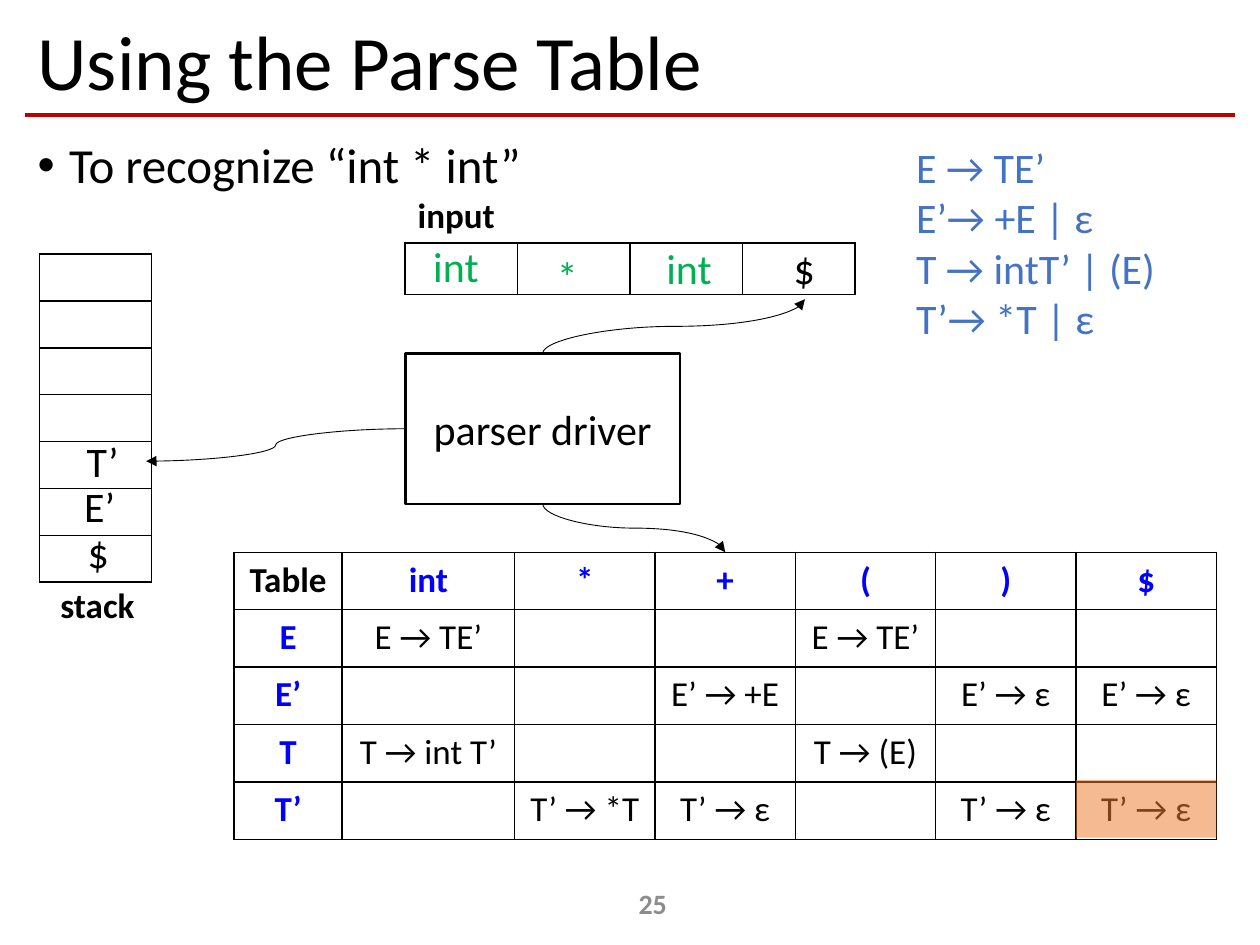
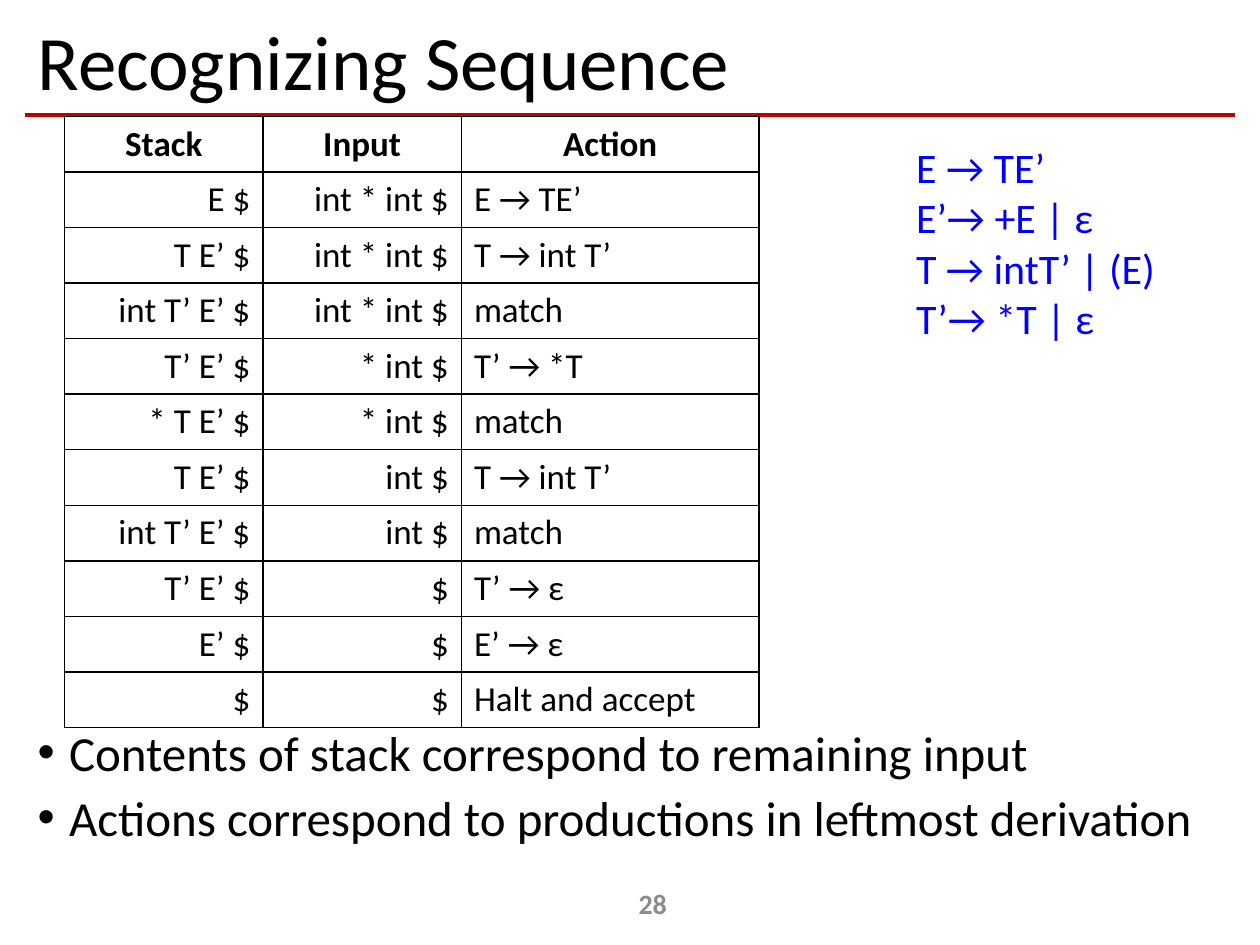
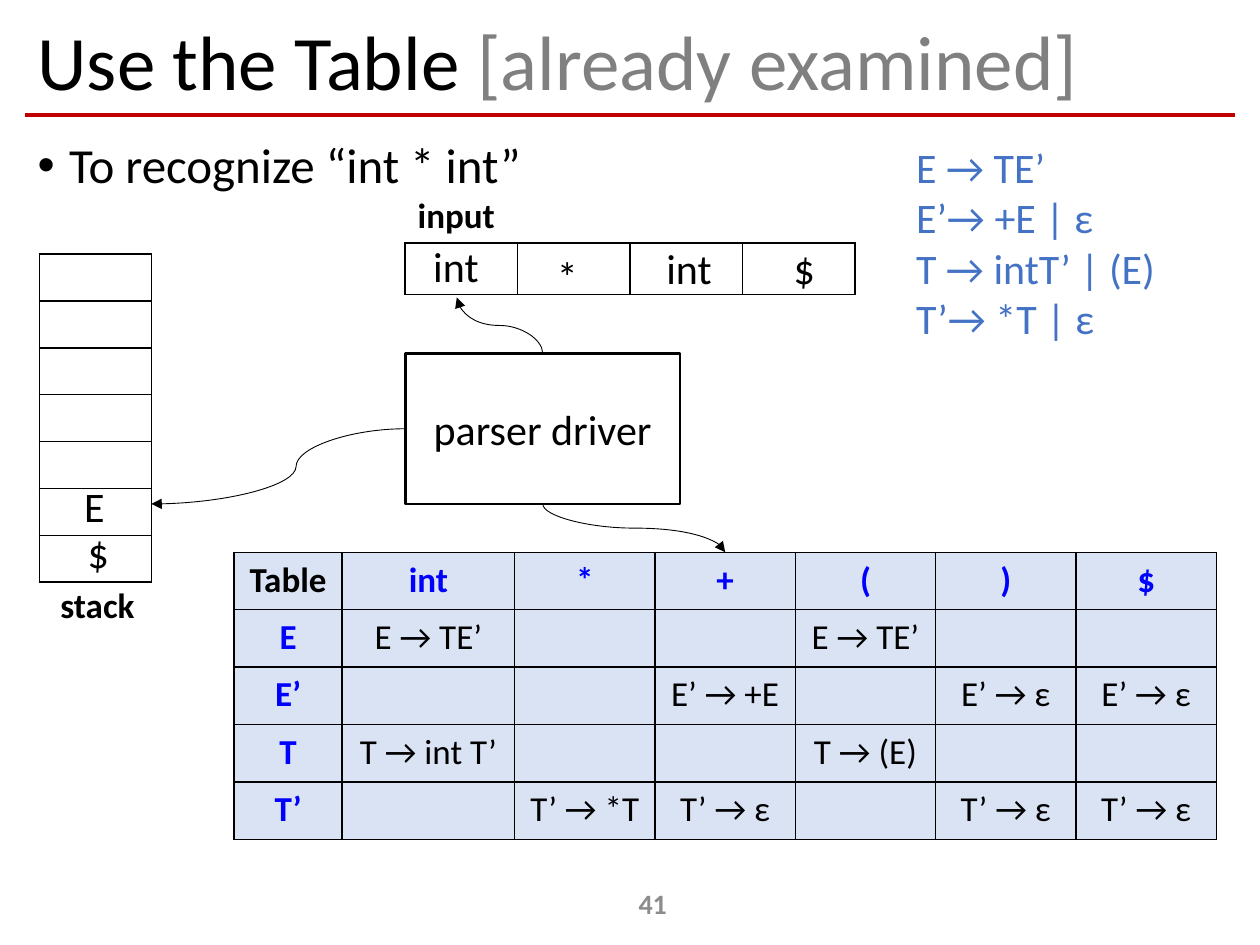
from lxml import etree
from pptx import Presentation
from pptx.dml.color import RGBColor
from pptx.enum import shapes, text
from pptx.oxml.ns import qn
from pptx.util import Pt

FONT = "Calibri"
BLACK, BLUE, GREEN, GREY = "000000", "0000FF", "00B050", "808080"
NUMBER_GREY, RULE_RED, GRAMMAR_BLUE = "8C8C8C", "C00000", "4472C4"
HIGHLIGHT, PALE_BLUE = "ED7D31", "DAE3F3"
LEFT, CENTER, RIGHT = text.PP_ALIGN.LEFT, text.PP_ALIGN.CENTER, text.PP_ALIGN.RIGHT

GRAMMAR = ["E → TE’", "E’→ +E | ε", "T → intT’ | (E)", "T’→ *T | ε"]
PARSE_TABLE = [
    ["Table", "int", "*", "+", "(", ")", "$"],
    ["E", "E → TE’", "", "", "E → TE’", "", ""],
    ["E’", "", "", "E’ → +E", "", "E’ → ε", "E’ → ε"],
    ["T", "T → int T’", "", "", "T → (E)", "", ""],
    ["T’", "", "T’ → *T", "T’ → ε", "", "T’ → ε", "T’ → ε"],
]
SEQUENCE = [
    ["Stack", "Input", "Action"],
    ["E $", "int * int $", "E → TE’"],
    ["T E’ $", "int * int $", "T → int T’"],
    ["int T’ E’ $", "int * int $", "match"],
    ["T’ E’ $", "* int $", "T’ → *T"],
    ["* T E’ $", "* int $", "match"],
    ["T E’ $", "int $", "T → int T’"],
    ["int T’ E’ $", "int $", "match"],
    ["T’ E’ $", "$", "T’ → ε"],
    ["E’ $", "$", "E’ → ε"],
    ["$", "$", "Halt and accept"],
]
SEQUENCE_BULLETS = [
    "Contents of stack correspond to remaining input",
    "Actions correspond to productions in leftmost derivation",
]
RECOGNIZE = ["To recognize “int * int”"]

# Token, left, top, width
INPUT_TOKENS = [("int", 240.5, 134, 41), ("*", 311.2, 139.5, 27),
                ("int", 373.7, 135.2, 41), ("$", 446.4, 135.2, 27)]
STACK_SPOTS = [(43, 297.4), (41, 270.9), (42.5, 245.3)]

PARSER_SLIDES = [
    dict(title=[("Using the Parse Table", BLACK)], number="25",
         stack=["$", "E’", "T’"], token_colors=[GREEN, GREEN, GREEN, BLACK],
         input_tip=(460, 171), stack_tip=(83.5, 263.5), stack_bend=0.5,
         table_fill=None, highlight=True),
    dict(title=[("Use the Table ", BLACK), ("[already examined]", GREY)], number="41",
         stack=["$", "E"], token_colors=[BLACK] * 4,
         input_tip=(261, 170), stack_tip=(86.5, 288), stack_bend=0.43,
         table_fill=PALE_BLUE, highlight=False),
]

DRIVER = (231.6, 202, 157, 86)
PARSE_LEFT, PARSE_TOP, PARSE_ROW = 133.7, 315.6, 32.8
PARSE_COLUMNS = [61.8, 98.6] + [80.2] * 5


def color(value):
    return RGBColor.from_string(value)


def add_run(paragraph, words, size, ink=BLACK, bold=False):
    run = paragraph.add_run()
    run.text = words
    run.font.name, run.font.size, run.font.bold = FONT, Pt(size), bold
    run.font.color.rgb = color(ink)


def add_text(slide, box, lines, size, ink=BLACK, bold=False, wrap=False,
             align=LEFT, anchor=text.MSO_ANCHOR.TOP):
    """Add a text box whose lines are strings or lists of (words, colour) runs."""
    frame = slide.shapes.add_textbox(*map(Pt, box)).text_frame
    frame.word_wrap, frame.vertical_anchor = wrap, anchor
    for index, line in enumerate(lines):
        paragraph = frame.paragraphs[0] if index == 0 else frame.add_paragraph()
        paragraph.alignment = align
        for words, run_ink in [(line, ink)] if isinstance(line, str) else line:
            add_run(paragraph, words, size, run_ink, bold)
    return frame


def add_bullets(slide, top, height, lines, spacing):
    frame = add_text(slide, (14.4, top, 692, height), lines, 28, wrap=True)
    for paragraph in frame.paragraphs:
        paragraph.line_spacing, paragraph.space_before = spacing, Pt(10)
        properties = paragraph._p.get_or_add_pPr()
        properties.set("marL", str(Pt(18)))
        properties.set("indent", str(Pt(-18)))
        etree.SubElement(properties, qn("a:buFont"), typeface="Arial")
        etree.SubElement(properties, qn("a:buChar"), char="•")


def style_line(connector, ink, width):
    connector.line.color.rgb = color(ink)
    connector.line.width = Pt(width)
    etree.SubElement(connector._element.spPr, qn("a:effectLst"))


def add_curve(slide, start, end, vertical=False, bend=0.5):
    """Add a curved arrow that leaves its start sideways, or up or down if vertical."""
    (x1, y1), (x2, y2) = start, end
    if vertical:  # laid out sideways about its middle, then turned by 270 degrees
        middle_x, middle_y = (x1 + x2) / 2, (y1 + y2) / 2
        half_run, half_rise = (y1 - y2) / 2, (x2 - x1) / 2
        x1, x2 = middle_x - half_run, middle_x + half_run
        y1, y2 = middle_y - half_rise, middle_y + half_rise
    connector = slide.shapes.add_connector(
        shapes.MSO_CONNECTOR.CURVE, Pt(x1), Pt(y1), Pt(x2), Pt(y2))
    properties = connector._element.spPr
    if vertical:
        properties.find(qn("a:xfrm")).set("rot", str(270 * 60000))
    guides = properties.find(qn("a:prstGeom")).find(qn("a:avLst"))
    etree.SubElement(guides, qn("a:gd"), name="adj1", fmla=f"val {round(bend * 100000)}")
    style_line(connector, BLACK, 0.5)
    etree.SubElement(connector.line._get_or_add_ln(), qn("a:tailEnd"), type="triangle")


def border_cell(cell):
    properties = cell._tc.get_or_add_tcPr()
    for index, side in enumerate(("lnL", "lnR", "lnT", "lnB")):
        line = etree.Element(qn(f"a:{side}"), w=str(Pt(1)))
        fill = etree.SubElement(line, qn("a:solidFill"))
        etree.SubElement(fill, qn("a:srgbClr"), val=BLACK)
        properties.insert(index, line)


def add_grid(slide, left, top, columns, row_height, rows, style=None, fill=None):
    """Add a bordered table; style(row, column) gives alignment, colour and bold."""
    frame = slide.shapes.add_table(len(rows), len(columns), Pt(left), Pt(top),
                                   Pt(sum(columns)), Pt(row_height * len(rows)))
    table = frame.table
    table.first_row = table.horz_banding = False
    for column, width in zip(table.columns, columns):
        column.width = Pt(width)
    for r, values in enumerate(rows):
        table.rows[r].height = Pt(row_height)
        for c, words in enumerate(values):
            cell = table.cell(r, c)
            if fill:
                cell.fill.solid()
                cell.fill.fore_color.rgb = color(fill)
            else:
                cell.fill.background()
            border_cell(cell)
            if words:
                align, ink, bold = style(r, c)
                paragraph = cell.text_frame.paragraphs[0]
                paragraph.alignment = align
                add_run(paragraph, words, 20, ink, bold)
            else:
                cell.margin_top = cell.margin_bottom = 0


def parse_style(row, column):
    heading = row == 0 or column == 0
    return CENTER, BLUE if heading and row + column else BLACK, heading


def sequence_style(row, column):
    if row == 0:
        return CENTER, BLACK, True
    return LEFT if column == 2 else RIGHT, BLACK, False


def add_base_slide(presentation, title, number):
    slide = presentation.slides.add_slide(presentation.slide_layouts[6])
    rule = slide.shapes.add_connector(shapes.MSO_CONNECTOR.STRAIGHT,
                                      Pt(14.4), Pt(65.8), Pt(705.6), Pt(65.8))
    style_line(rule, RULE_RED, 2.5)
    heading = add_text(slide, (14.4, 9, 692, 57), [title], 44, wrap=True,
                       anchor=text.MSO_ANCHOR.MIDDLE)
    heading.paragraphs[0].line_spacing = 0.9
    add_text(slide, (292, 502, 162, 28.8), [number], 16, NUMBER_GREY, True, True,
             CENTER, text.MSO_ANCHOR.MIDDLE)
    return slide


def add_grammar(slide, ink):
    add_text(slide, (516.4, 77.3, 153, 124), GRAMMAR, 24, ink)


def add_box(slide, box):
    shape = slide.shapes.add_shape(shapes.MSO_SHAPE.RECTANGLE, *map(Pt, box))
    shape.shadow.inherit = False
    return shape


def add_driver(slide):
    driver = add_box(slide, DRIVER)
    driver.fill.background()
    driver.line.color.rgb = color(BLACK)
    driver.line.width = Pt(1.5)
    driver.text_frame.vertical_anchor = text.MSO_ANCHOR.MIDDLE
    paragraph = driver.text_frame.paragraphs[0]
    paragraph.alignment = CENTER
    add_run(paragraph, "parser driver", 24)


def add_highlight(slide):
    """Tint the last cell of the parse table."""
    left = PARSE_LEFT + sum(PARSE_COLUMNS[:-1])
    top = PARSE_TOP + PARSE_ROW * (len(PARSE_TABLE) - 1) - 1
    tint = add_box(slide, (left, top, PARSE_COLUMNS[-1], PARSE_ROW))
    tint.fill.solid()
    tint.fill.fore_color.rgb = color(HIGHLIGHT)
    tint.line.fill.background()
    tint_color = tint._element.spPr.find(qn("a:solidFill"))[0]
    etree.SubElement(tint_color, qn("a:alpha"), val="53000")


def add_parser_slide(presentation, state):
    slide = add_base_slide(presentation, state["title"], state["number"])
    add_bullets(slide, 77, 409, RECOGNIZE, 0.9)
    add_grid(slide, PARSE_LEFT, PARSE_TOP, PARSE_COLUMNS, PARSE_ROW, PARSE_TABLE,
             parse_style, state["table_fill"])
    add_grid(slide, 22.5, 145.2, [64.2], 26.8, [[""]] * 7)
    add_grid(slide, 231.4, 138.8, [64.3] * 4, 29.4, [[""] * 4])
    add_text(slide, (27.4, 330, 58, 31.5), ["stack"], 20, bold=True)
    add_text(slide, (231.6, 107.3, 59, 31.5), ["input"], 20, bold=True)
    for symbol, (left, top) in zip(state["stack"], STACK_SPOTS):
        add_text(slide, (left, top, 27 if len(symbol) == 1 else 36, 36), [symbol], 24)
    for (token, left, top, width), ink in zip(INPUT_TOKENS, state["token_colors"]):
        add_text(slide, (left, top, width, 36), [token], 24, ink)
    add_driver(slide)
    left, top, width, height = DRIVER
    middle = left + width / 2
    add_curve(slide, (middle, top), state["input_tip"], vertical=True)
    add_curve(slide, (left, top + height / 2), state["stack_tip"], bend=state["stack_bend"])
    add_curve(slide, (middle, top + height), (414.4, PARSE_TOP), vertical=True)
    if state["highlight"]:
        add_highlight(slide)
    add_grammar(slide, GRAMMAR_BLUE)


def add_sequence_slide(presentation):
    slide = add_base_slide(presentation, [("Recognizing Sequence", BLACK)], "28")
    add_bullets(slide, 416, 70, SEQUENCE_BULLETS, 0.8)
    add_grid(slide, 36.9, 66.5, [113.4, 113.4, 170], 31.75, SEQUENCE, sequence_style)
    add_grammar(slide, BLUE)


def main():
    presentation = Presentation()
    presentation.slide_width, presentation.slide_height = Pt(720), Pt(540)
    add_parser_slide(presentation, PARSER_SLIDES[0])
    add_sequence_slide(presentation)
    add_parser_slide(presentation, PARSER_SLIDES[1])
    presentation.save("out.pptx")


if __name__ == "__main__":
    main()
